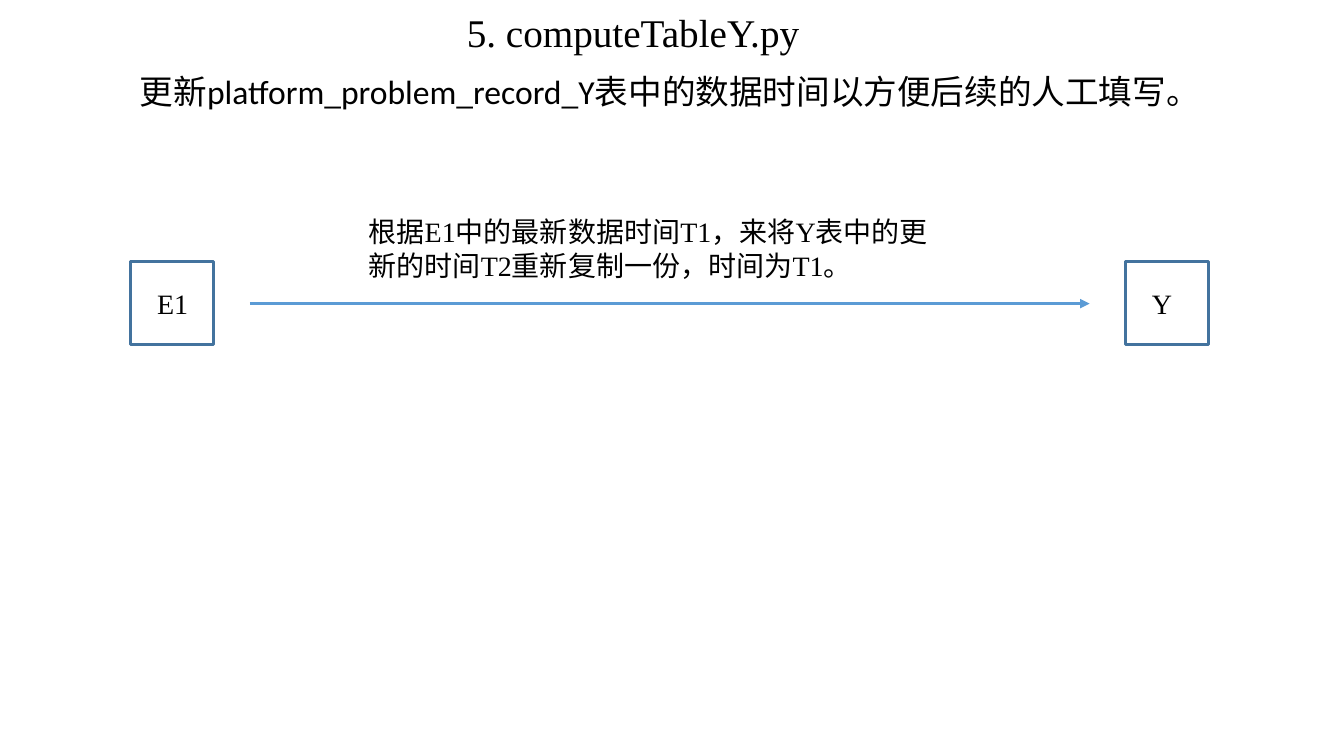
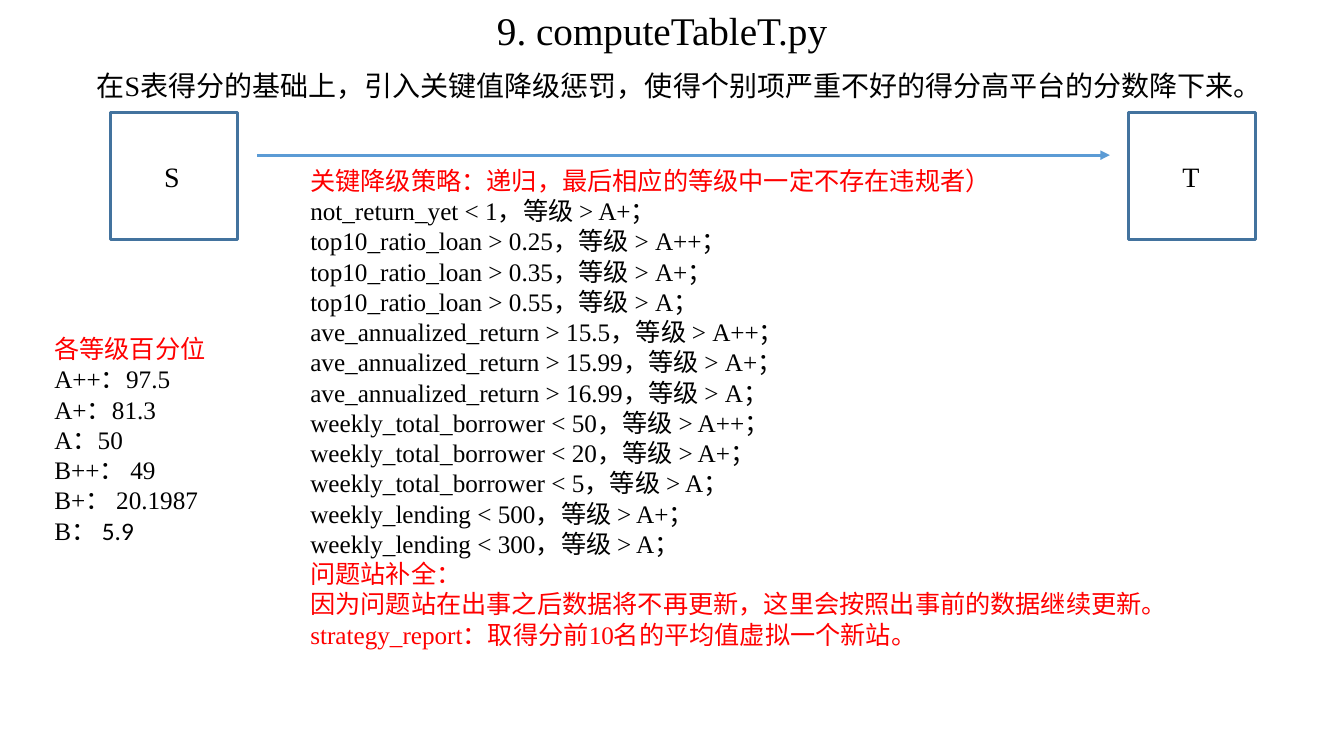
from lxml import etree
from pptx import Presentation
from pptx import util as u
from pptx.dml.color import RGBColor
from pptx.enum import shapes, text
from pptx.oxml import ns

BLACK, RED = "000000", "FF0000"
BOX_EDGE, ARROW = "43739E", "5B9BD5"
SERIF, SANS = "Times New Roman", "Calibri"


def rgb(value):
    return RGBColor.from_string(value)


def write(frame, paragraphs, size, align=text.PP_ALIGN.LEFT, anchor=text.MSO_ANCHOR.TOP):
    """Fill a frame with paragraphs, each given as (colour, [(words, font), ...])."""
    frame.word_wrap = True
    frame.auto_size = text.MSO_AUTO_SIZE.NONE
    frame.vertical_anchor = anchor
    for number, (colour, runs) in enumerate(paragraphs):
        paragraph = frame.add_paragraph() if number else frame.paragraphs[0]
        paragraph.alignment = align
        for words, font in runs:
            run = paragraph.add_run()
            run.text = words
            run.font.name = font
            run.font.size = u.Pt(size)
            run.font.color.rgb = rgb(colour)


# Wording of the grade lists
grades = [(RED, [("各等级百分位", SERIF)])]
for line in ["A++：97.5", "A+：81.3", "A：50", "B++： 49", "B+： 20.1987"]:
    grades.append((BLACK, [(line, SERIF)]))
grades.append((BLACK, [("B： ", SERIF), ("5.9", SANS)]))

limits = [
    ("not_return_yet < 1", "A+"),
    ("top10_ratio_loan > 0.25", "A++"),
    ("top10_ratio_loan > 0.35", "A+"),
    ("top10_ratio_loan > 0.55", "A"),
    ("ave_annualized_return > 15.5", "A++"),
    ("ave_annualized_return > 15.99", "A+"),
    ("ave_annualized_return > 16.99", "A"),
    ("weekly_total_borrower < 50", "A++"),
    ("weekly_total_borrower < 20", "A+"),
    ("weekly_total_borrower < 5", "A"),
    ("weekly_lending < 500", "A+"),
    ("weekly_lending < 300", "A"),
]
strategy = [(RED, [("关键降级策略：递归，最后相应的等级中一定不存在违规者）", SERIF)])]
for limit, grade in limits:
    strategy.append((BLACK, [(f"{limit}，等级 > {grade}；", SERIF)]))
for line in ["问题站补全：",
             "因为问题站在出事之后数据将不再更新，这里会按照出事前的数据继续更新。",
             "strategy_report：取得分前10名的平均值虚拟一个新站。"]:
    strategy.append((RED, [(line, SERIF)]))

copy_rule = [(BLACK, [("根据E1中的最新数据时间T1，来将Y表中的更新的时间T2重新复制一份，时间为T1。", SERIF)])]

# Content of the slides; places are left, top, width, height in cm
steps = [
    {
        "title": "5. computeTableY.py",
        "title_at": (11.51, 0.08, 10.74, 1.45),
        "purpose": "更新platform_problem_record_Y表中的数据时间以方便后续的人工填写。",
        "purpose_at": (2.11, 1.65, 29.54, 1.27),
        "purpose_style": (SANS, 24, text.PP_ALIGN.CENTER),
        "tables": [("E1", 3.3), ("Y", 28.37)],
        "table_top": 6.6, "table_side": 2.08, "label_inset": 0.66,
        "arrow": (6.3, 27.46, 7.65),
        "notes": [(copy_rule, 20, (9.04, 5.28, 14.88, 1.96))],
    },
    {
        "title": "9. computeTableT.py",
        "title_at": (12.27, 0.03, 9.73, 1.45),
        "purpose": "在S表得分的基础上，引入关键值降级惩罚，使得个别项严重不好的得分高平台的分数降下来。",
        "purpose_at": (2.18, 1.6, 31.67, 1.12),
        "purpose_style": (SERIF, 20, text.PP_ALIGN.LEFT),
        "tables": [("S", 2.79), ("T", 28.45)],
        "table_top": 2.84, "table_side": 3.2, "label_inset": 1.35,
        "arrow": (6.48, 27.97, 3.91),
        "notes": [(grades, 18, (1.12, 8.28, 4.37, 5.64)),
                  (strategy, 18, (7.57, 4.04, 22.3, 12.57))],
    },
]

deck = Presentation()
deck.slide_width, deck.slide_height = u.Cm(33.87), u.Cm(19.05)

for step in steps:
    slide = deck.slides.add_slide(deck.slide_layouts[1])

    # Title and purpose
    title, purpose = slide.shapes.title, slide.placeholders[1]
    for holder, place in [(title, step["title_at"]), (purpose, step["purpose_at"])]:
        holder.left, holder.top, holder.width, holder.height = map(u.Cm, place)
    write(title.text_frame, [(BLACK, [(step["title"], SERIF)])], 28)

    opening = purpose.text_frame.paragraphs[0]
    properties = opening._p.get_or_add_pPr()
    properties.set("marL", "0")
    properties.set("indent", "0")
    etree.SubElement(properties, ns.qn("a:buNone"))
    opening.space_before = u.Pt(0)
    font, size, align = step["purpose_style"]
    write(purpose.text_frame, [(BLACK, [(step["purpose"], font)])], size, align)

    # Source and target tables
    side = u.Cm(step["table_side"])
    for name, left in step["tables"]:
        table_box = slide.shapes.add_shape(
            shapes.MSO_SHAPE.RECTANGLE, u.Cm(left), u.Cm(step["table_top"]), side, side)
        table_box.shadow.inherit = False
        table_box.fill.background()
        table_box.line.color.rgb = rgb(BOX_EDGE)
        table_box.line.width = u.Pt(2.25)
        table_box.text_frame.margin_left = u.Cm(step["label_inset"])
        table_box.text_frame.margin_right = 0
        write(table_box.text_frame, [(BLACK, [(name, SERIF)])], 20,
              anchor=text.MSO_ANCHOR.MIDDLE)

    # Arrow from source to target
    start, end, level = map(u.Cm, step["arrow"])
    flow = slide.shapes.add_connector(shapes.MSO_CONNECTOR.STRAIGHT, start, level, end, level)
    flow.line.color.rgb = rgb(ARROW)
    flow.line.width = u.Pt(2.25)
    etree.SubElement(flow.line._get_or_add_ln(), ns.qn("a:tailEnd"), type="triangle")
    etree.SubElement(flow._element.spPr, ns.qn("a:effectLst"))

    # Rules applied on the way
    for paragraphs, size, place in step["notes"]:
        note = slide.shapes.add_textbox(*map(u.Cm, place))
        write(note.text_frame, paragraphs, size)

deck.save("out.pptx")
